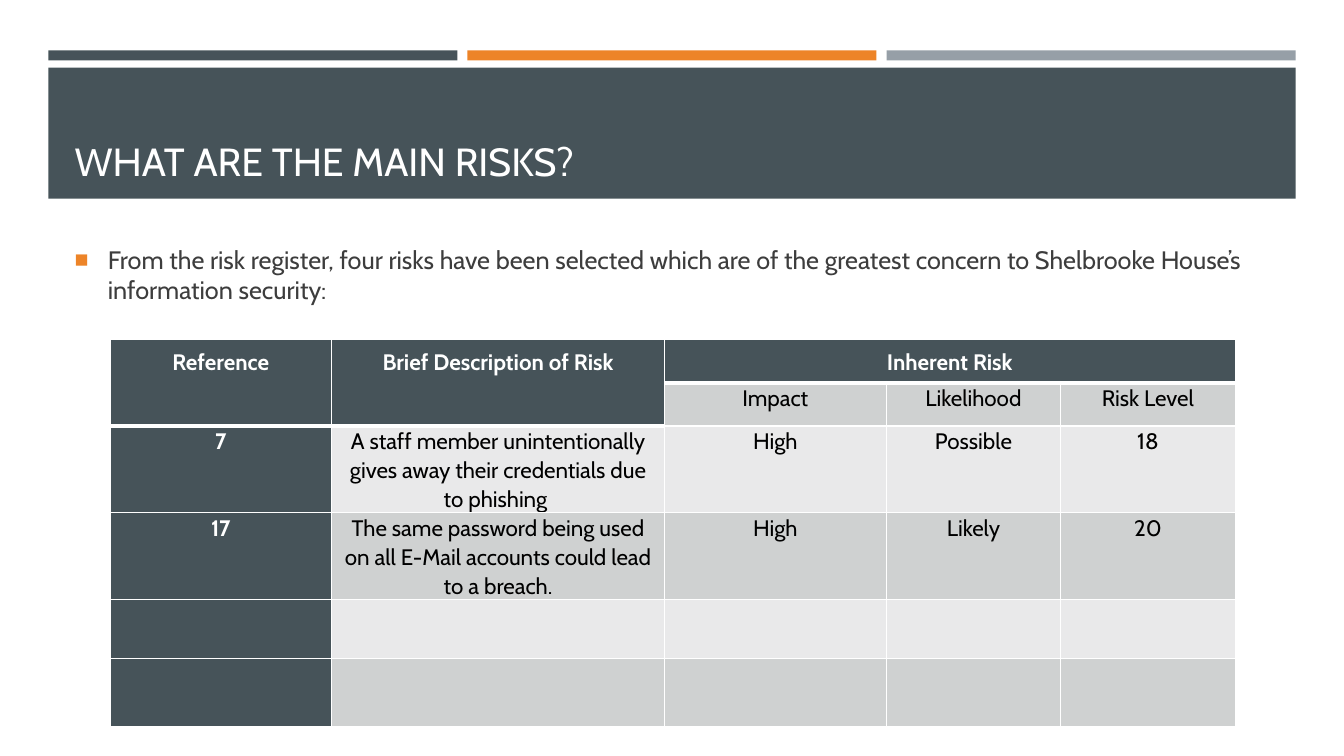
from lxml import etree
from pptx import Presentation
from pptx.dml.color import RGBColor
from pptx.enum.shapes import MSO_SHAPE
from pptx.enum.text import MSO_ANCHOR, PP_ALIGN
from pptx.oxml.ns import qn
from pptx.util import Inches, Pt

RECTANGLE = MSO_SHAPE.RECTANGLE
TOP, MIDDLE, BOTTOM = MSO_ANCHOR.TOP, MSO_ANCHOR.MIDDLE, MSO_ANCHOR.BOTTOM
LEFT, CENTER = PP_ALIGN.LEFT, PP_ALIGN.CENTER

FONT = "Cabin"
SLATE, ORANGE, GREY, WHITE = "465359", "ED8428", "969FA7", "FFFFFF"
BLACK, BODY_TEXT = "000000", "3D3D3D"
DARK_BAND, LIGHT_BAND = "CFD1D1", "E9E9EA"

COLUMN_WIDTHS = [2.2, 3.3, 2.2, 1.73, 1.73]
ROW_HEIGHTS = [0.41, 0.43, 0.86, 0.86, 0.58, 0.68]
RISKS = [
    ["Reference", "Brief Description of Risk", "Inherent Risk", "", ""],
    ["", "", "Impact", "Likelihood", "Risk Level"],
    ["7", "A staff member unintentionally gives away their credentials due to phishing ",
     "High", "Possible", "18"],
    ["17", "The same password being used on all E-Mail accounts could lead to a breach.",
     "High", "Likely", "20"],
    [""] * 5,
    [""] * 5,
]


def color(hex_string):
    return RGBColor.from_string(hex_string)


def add_span(para, text, size, hex_string, bold=False):
    span = para.add_run()
    span.text = text
    span.font.name = FONT
    span.font.size = Pt(size)
    span.font.bold = bold
    span.font.color.rgb = color(hex_string)


def add_bar(page, box, hex_string):
    left, top, width, height = box
    bar = page.shapes.add_shape(RECTANGLE, Inches(left), Inches(top),
                                Inches(width), Inches(height))
    bar.shadow.inherit = False
    bar.fill.solid()
    bar.fill.fore_color.rgb = color(hex_string)
    bar.line.fill.background()


def fill_placeholder(holder, box, anchor, text, size, hex_string):
    left, top, width, height = box
    holder.left, holder.top = Inches(left), Inches(top)
    holder.width, holder.height = Inches(width), Inches(height)
    holder.text_frame.vertical_anchor = anchor
    holder.text_frame.word_wrap = True
    para = holder.text_frame.paragraphs[0]
    para.alignment = LEFT
    add_span(para, text, size, hex_string)
    return para


def add_header(page, box):
    left, top, width, height = box
    # Three accent strips above the title band
    gap = 0.1
    strip_width = (width - 2 * gap) / 3
    for index, hex_string in enumerate([SLATE, ORANGE, GREY]):
        strip_left = left + index * (strip_width + gap)
        add_bar(page, (strip_left, top, strip_width, 0.1), hex_string)
    # Title band, with the title brought in front of it
    add_bar(page, (left, top + 0.17, width, height - 0.17), SLATE)
    title = page.shapes.title
    title.element.getparent().append(title.element)
    fill_placeholder(title, (left + 0.16, top + 0.27, width - 0.31, 1.11),
                     BOTTOM, "WHAT ARE THE MAIN RISKS?", 28, WHITE)


def add_introduction(page, box):
    para = fill_placeholder(
        page.placeholders[1], box, MIDDLE,
        "From the risk register, four risks have been selected which are of the "
        "greatest concern to Shelbrooke House’s information security:", 18, BODY_TEXT)
    para.space_after = Pt(6)
    # Square orange bullet with a hanging indent
    properties = para._p.get_or_add_pPr()
    properties.set("marL", str(Inches(0.33)))
    properties.set("indent", str(-Inches(0.33)))
    bullet_color = etree.SubElement(properties, qn("a:buClr"))
    etree.SubElement(bullet_color, qn("a:srgbClr"), val=ORANGE)
    etree.SubElement(properties, qn("a:buSzPct"), val="92000")
    etree.SubElement(properties, qn("a:buChar"), char="■")


def is_header(row, column):
    return row == 0 or (row == 1 and column < 2)


def ends_header(row, column):
    return row == (1 if column < 2 else 0)


def set_borders(cell, row, column):
    widths = {
        "a:lnL": 1,
        "a:lnR": 1,
        "a:lnT": 3 if ends_header(row - 1, column) else 1,
        "a:lnB": 3 if ends_header(row, column) else 1,
    }
    properties = cell._tc.get_or_add_tcPr()
    for index, (edge, width) in enumerate(widths.items()):
        line = etree.Element(qn(edge), w=str(Pt(width)))
        fill = etree.SubElement(line, qn("a:solidFill"))
        etree.SubElement(fill, qn("a:srgbClr"), val=WHITE)
        properties.insert(index, line)


def format_cell(cell, row, column, text):
    header = is_header(row, column)
    strong = header or column == 0
    side, edge = (0.14, 0.07) if header else (0.11, 0)
    cell.margin_left = cell.margin_right = Inches(side)
    cell.margin_top = cell.margin_bottom = Inches(edge)
    cell.vertical_anchor = TOP
    cell.fill.solid()
    band = DARK_BAND if row % 2 else LIGHT_BAND
    cell.fill.fore_color.rgb = color(SLATE if strong else band)
    set_borders(cell, row, column)
    if text:
        para = cell.text_frame.paragraphs[0]
        para.alignment = CENTER
        para.line_spacing = 1.07
        para.space_after = Pt(8)
        add_span(para, text, 16, WHITE if strong else BLACK, strong)


def add_risk_table(page, box):
    left, top, width, height = box
    table = page.shapes.add_table(len(ROW_HEIGHTS), len(COLUMN_WIDTHS), Inches(left),
                                  Inches(top), Inches(width), Inches(height)).table
    for column, column_width in zip(table.columns, COLUMN_WIDTHS):
        column.width = Inches(column_width)
    for row, row_height in zip(table.rows, ROW_HEIGHTS):
        row.height = Inches(row_height)
    for row, texts in enumerate(RISKS):
        for column, text in enumerate(texts):
            format_cell(table.cell(row, column), row, column, text)
    # Two tall headings and one wide heading
    for column in (0, 1):
        table.cell(0, column).merge(table.cell(1, column))
    table.cell(0, 2).merge(table.cell(0, 4))


def main():
    deck = Presentation()
    deck.slide_width, deck.slide_height = Inches(13.33), Inches(7.5)
    page = deck.slides.add_slide(deck.slide_layouts[1])
    page.background.fill.solid()
    page.background.fill.fore_color.rgb = color(WHITE)
    add_header(page, (0.48, 0.5, 12.37, 1.47))
    add_introduction(page, (0.64, 2.17, 12.06, 1.11))
    add_risk_table(page, (1.09, 3.37, sum(COLUMN_WIDTHS), sum(ROW_HEIGHTS)))
    deck.save("out.pptx")


if __name__ == "__main__":
    main()
